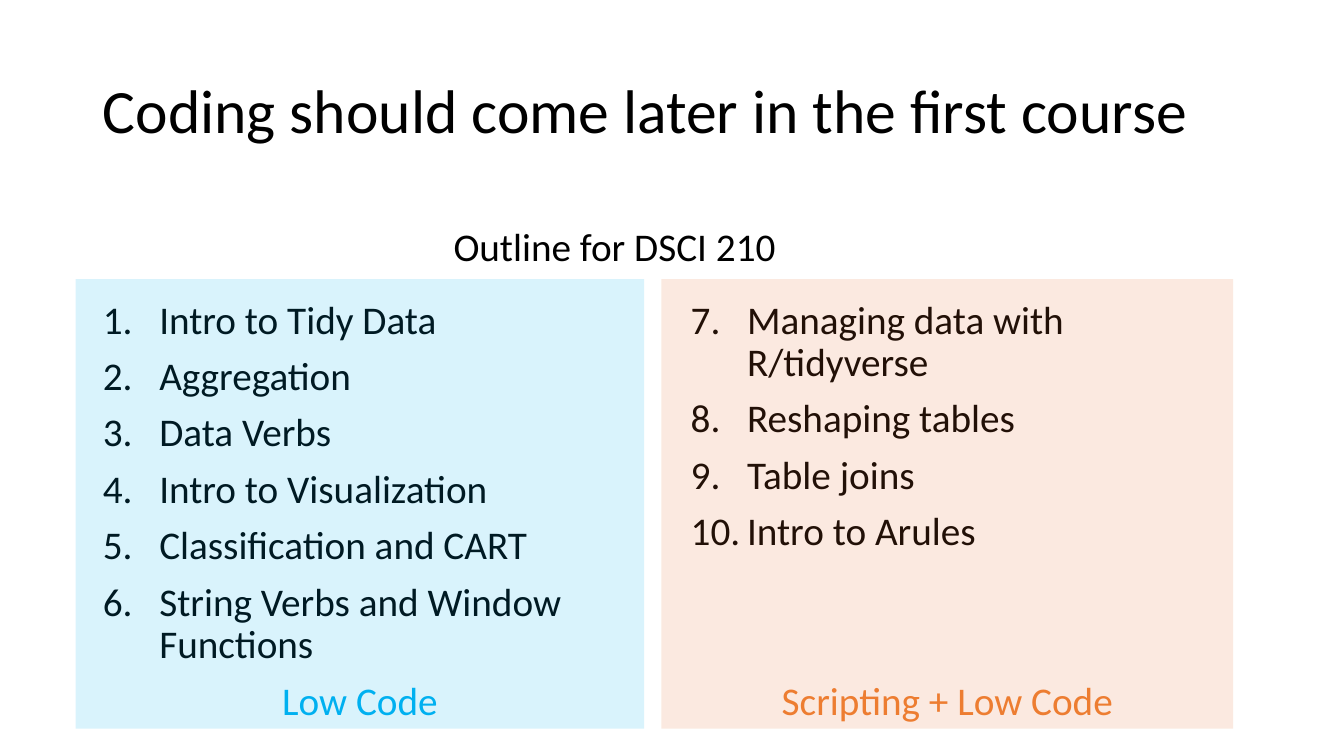
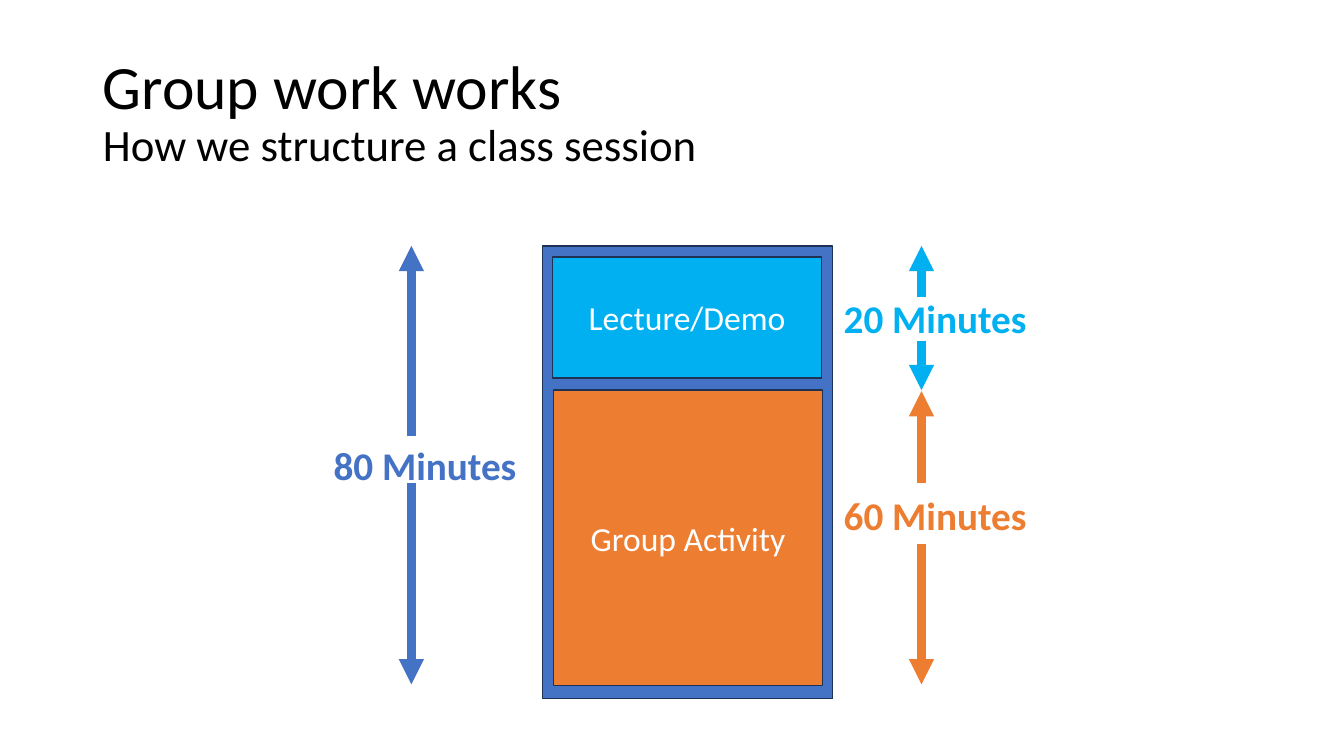
"""Build two slides on the outline and class structure of a first data course."""
import pptx
import pptx.util
import pptx.dml.color
import pptx.enum.shapes
import pptx.enum.text
import pptx.oxml.ns
import lxml.etree

Inches, Pt = pptx.util.Inches, pptx.util.Pt
qn, sub = pptx.oxml.ns.qn, lxml.etree.SubElement
ALIGN, ANCHOR = pptx.enum.text.PP_ALIGN, pptx.enum.text.MSO_ANCHOR
RECT = pptx.enum.shapes.MSO_SHAPE.RECTANGLE
LINE = pptx.enum.shapes.MSO_CONNECTOR.STRAIGHT

FONT = "Calibri"
COLORS = {"black": "000000", "white": "FFFFFF", "sky": "00B0F0", "rust": "E97132",
          "orange": "ED7D31", "blue": "4472C4", "navy": "1E3256"}

OUTLINE = "Outline for DSCI 210"
PARTS = [
    {"items": ["Intro to Tidy Data", "Aggregation", "Data Verbs", "Intro to Visualization",
               "Classification and CART", "String Verbs and Window Functions"],
     "start": 1, "left": 0.92, "panel": (0.75, 2.77, 5.64, 4.46),
     "fill": "sky", "label": "Low Code", "color": "sky"},
    {"items": ["Managing data with R/tidyverse", "Reshaping tables", "Table joins",
               "Intro to Arules"],
     "start": 7, "left": 6.75, "panel": (6.56, 2.77, 5.67, 4.46),
     "fill": "rust", "label": "Scripting + Low Code", "color": "orange"},
]

BLOCKS = [
    ("", "blue", (5.38, 2.44, 2.88, 4.49)),
    ("Group Activity", "orange", (5.49, 3.87, 2.67, 2.93)),
    ("Lecture/Demo", "sky", (5.48, 2.55, 2.67, 1.2)),
]
SPANS = [
    ("80 Minutes", "blue", (3.21, 4.33), 4.08, (2.44, 4.33, 4.79, 6.79)),
    ("20 Minutes", "sky", (8.27, 2.87), 9.14, (2.44, 2.95, 3.38, 3.87)),
    ("60 Minutes", "orange", (8.27, 4.83), 9.14, (3.88, 4.79, 5.4, 6.79)),
]


def rgb(name):
    return pptx.dml.color.RGBColor.from_string(COLORS[name])


def place(shape, box):
    shape.left, shape.top, shape.width, shape.height = map(Inches, box)


def style(frame, size, color="black", align=ALIGN.LEFT, anchor=ANCHOR.TOP,
          bold=False, space=1.0):
    frame.auto_size = pptx.enum.text.MSO_AUTO_SIZE.NONE
    frame.vertical_anchor = anchor
    for para in frame.paragraphs:
        para.alignment, para.line_spacing = align, space
        for run in para.runs:
            font = run.font
            font.name, font.size, font.bold = FONT, Pt(size), bold
            font.color.rgb = rgb(color)


def start(deck, layout, text):
    slide = deck.slides.add_slide(deck.slide_layouts[layout])
    title = slide.shapes.title
    place(title, (0.92, 0.4, 11.5, 1.45))
    title.text_frame.text = text
    style(title.text_frame, 44, anchor=ANCHOR.MIDDLE, space=0.9)
    return slide


def write(slide, text, box, wrap=True, **look):
    shape = slide.shapes.add_textbox(*map(Inches, box))
    shape.text_frame.word_wrap = wrap
    shape.text_frame.text = text
    style(shape.text_frame, 28, **look)


def rect(slide, box, fill, edge=None):
    shape = slide.shapes.add_shape(RECT, *map(Inches, box))
    shape.shadow.inherit = False
    shape.fill.solid()
    shape.fill.fore_color.rgb = rgb(fill)
    if edge:
        shape.line.color.rgb, shape.line.width = rgb(edge), Pt(1)
    else:
        shape.line.fill.background()
    return shape


def number(holder, items, first):
    frame = holder.text_frame
    frame.text = "\n".join(items)
    style(frame, 28, space=0.9)
    for i, para in enumerate(frame.paragraphs):
        para.space_before = Pt(10 if i else 0)
        props = para._p.get_or_add_pPr()
        props.set("marL", str(Inches(0.56)))
        props.set("indent", str(-Inches(0.56)))
        sub(props, qn("a:buFont"), typeface=FONT)
        sub(props, qn("a:buAutoNum"), type="arabicPeriod", startAt=str(first))


def arrow(slide, x, tail, head, color):
    link = slide.shapes.add_connector(LINE, *map(Inches, (x, tail, x, head)))
    link.line.color.rgb, link.line.width = rgb(color), Pt(6)
    props = link._element.spPr
    sub(props.find(qn("a:ln")), qn("a:tailEnd"), type="triangle")
    sub(props, qn("a:effectLst"))


def course(deck):
    slide = start(deck, 3, "Coding should come later in the first course")
    write(slide, OUTLINE, (3.36, 2.05, 5.47, 0.83), align=ALIGN.CENTER,
          anchor=ANCHOR.MIDDLE, space=0.9)
    for i, part in enumerate(PARTS, 1):
        holder = slide.placeholders[i]
        place(holder, (part["left"], 2.93, 5.67, 4.3))
        number(holder, part["items"], part["start"])
        panel = rect(slide, part["panel"], part["fill"])
        tint = panel._element.spPr.find(".//" + qn("a:srgbClr"))
        sub(tint, qn("a:alpha"), val="15000")
        panel.text_frame.text = part["label"]
        style(panel.text_frame, 28, part["color"], ALIGN.CENTER, ANCHOR.BOTTOM, space=0.9)


def session(deck):
    slide = start(deck, 5, "Group work works\vHow we structure a class session")
    slide.shapes.title.text_frame.paragraphs[0].runs[1].font.size = Pt(32)
    for text, fill, box in BLOCKS:
        block = rect(slide, box, fill, "navy")
        if text:
            block.text_frame.text = text
            style(block.text_frame, 24, "white", ALIGN.CENTER, ANCHOR.MIDDLE)
    for text, color, spot, x, (top, upper, lower, base) in SPANS:
        write(slide, text, (*spot, 2.04, 0.57), wrap=False, color=color, bold=True)
        arrow(slide, x, upper, top, color)
        arrow(slide, x, lower, base, color)


def main():
    deck = pptx.Presentation()
    deck.slide_width, deck.slide_height = Inches(13.33), Inches(7.5)
    course(deck)
    session(deck)
    deck.save("out.pptx")


if __name__ == "__main__":
    main()
